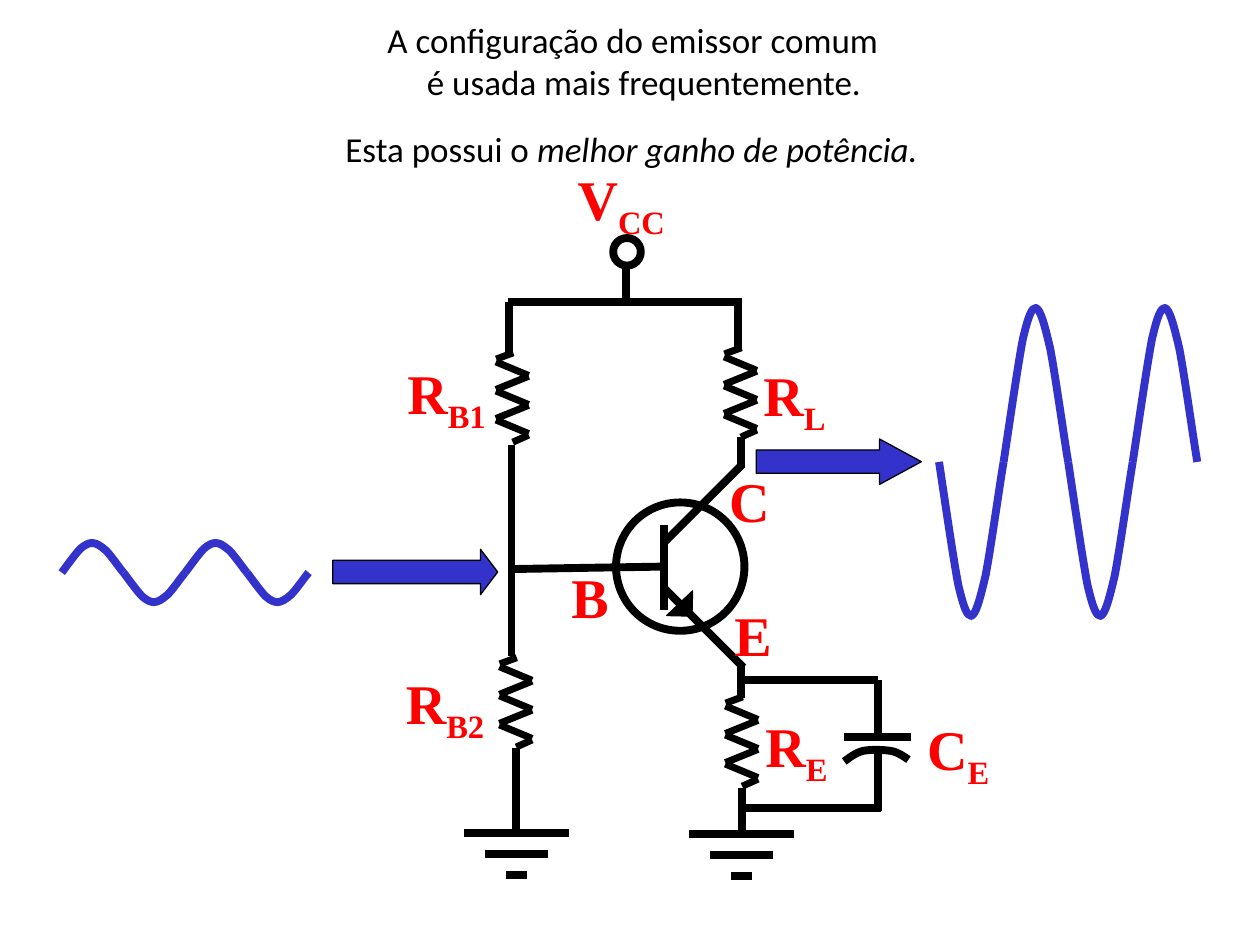
import pptx
import pptx.util
import pptx.dml.color
import pptx.enum.shapes
import pptx.enum.text
import lxml.etree

Pt = pptx.util.Pt
SHAPES = pptx.enum.shapes.MSO_SHAPE
BLACK = pptx.dml.color.RGBColor(0x00, 0x00, 0x00)
RED = pptx.dml.color.RGBColor(0xFF, 0x00, 0x00)
BLUE = pptx.dml.color.RGBColor(0x33, 0x33, 0xCC)
DRAWING = "{http://schemas.openxmlformats.org/drawingml/2006/main}"
WIRE = 4.5
THIN = 0.75

HALF_WAVE = [(0, 0), (0.06, 0.16), (0.22, 0.63), (0.3, 0.8), (0.39, 0.96),
             (0.44, 1), (0.5, 1), (0.57, 0.99), (0.63, 0.9), (0.72, 0.74),
             (0.8, 0.57), (0.95, 0.12), (1, 0)]
CURVED_PLATE = [(0, 6.9), (2.2, 5.4), (6.5, 1.8), (10.8, 0.9), (15.1, 0),
                (22.3, 0.2), (26.6, 0.9), (31, 1.6), (34.6, 4.5), (36.7, 5.9)]


def wire(parent, box, start, end, width=WIRE):
    left, top = box[:2]
    line = parent.shapes.add_connector(
        pptx.enum.shapes.MSO_CONNECTOR.STRAIGHT,
        Pt(left + start[0]), Pt(top + start[1]), Pt(left + end[0]), Pt(top + end[1]))
    line.line.color.rgb = BLACK
    line.line.width = Pt(width)
    lxml.etree.SubElement(line._element.spPr, DRAWING + "effectLst")


def paint(shape, fill, color, width):
    shape.shadow.inherit = False
    if fill is None:
        shape.fill.background()
    else:
        shape.fill.solid()
        shape.fill.fore_color.rgb = fill
    shape.line.color.rgb = color
    shape.line.width = Pt(width)


def preset(parent, kind, box, fill=None, width=WIRE):
    shape = parent.shapes.add_shape(kind, *(Pt(value) for value in box))
    paint(shape, fill, BLACK, width)
    return shape


def curve(parent, controls, color):
    points = [(Pt(x), Pt(y)) for x, y in controls]
    builder = parent.shapes.build_freeform(*points[0])
    builder.add_line_segments(points[1:], close=False)
    shape = builder.convert_to_shape()
    segments = list(shape._element.iter(DRAWING + "lnTo"))
    outline = segments[0].getparent()
    for first in range(0, len(segments), 3):
        bezier = lxml.etree.SubElement(outline, DRAWING + "cubicBezTo")
        for segment in segments[first:first + 3]:
            bezier.append(segment[0])
            outline.remove(segment)
    paint(shape, None, color, WIRE)


def write(para, text, size=20, font="Calibri", color=BLACK, bold=None, italic=None, subscript=False):
    span = para.add_run()
    span.text = text
    span.font.size = Pt(size)
    span.font.name = font
    span.font.color.rgb = color
    span.font.bold = bold
    span.font.italic = italic
    if subscript:
        span.font._element.set("baseline", "-25000")


def text_frame(page, box):
    frame = page.shapes.add_textbox(*(Pt(value) for value in box)).text_frame
    frame.word_wrap = False
    frame.auto_size = pptx.enum.text.MSO_AUTO_SIZE.SHAPE_TO_FIT_TEXT
    return frame


def label(page, box, letter, index=""):
    para = text_frame(page, box).paragraphs[0]
    style = dict(size=32, font="Times New Roman", color=RED, bold=True)
    write(para, letter, **style)
    if index:
        write(para, index, subscript=True, **style)


def heading(page, box):
    left, top, width, height = box
    frame = text_frame(page, (left + 24, top, width - 41.8, 55.4))
    write(frame.paragraphs[0], "A configuração do emissor comum")
    para = frame.add_paragraph()
    para._p.get_or_add_pPr().set("marL", str(Pt(22.6)))
    write(para, "é usada mais frequentemente.")
    para = text_frame(page, (left, top + 61.9, width, height - 61.9)).paragraphs[0]
    write(para, "Esta possui o ")
    write(para, "melhor ganho de potência.", italic=True)


def resistor(page, box):
    group = page.shapes.add_group_shape()
    pitch = 16.6
    strokes = [((19.2, 13 + pitch * k), (0.5, 5.2 + pitch * k)) for k in range(3)]
    strokes += [((0.5, 21 + pitch * k), (19.2, 13.4 + pitch * k)) for k in (1, 0)]
    strokes += [((0.7, 3.6), (10.4, 0)), ((10.1, 51.1), (19.2, 47))]
    for start, end in strokes:
        wire(group, box, start, end, 4)


def ground(page, box):
    group = page.shapes.add_group_shape()
    for inset in (0, 12, 24):
        wire(group, box, (inset, inset), (60 - inset, inset))


def supply(page, box):
    left, top = box
    preset(page, SHAPES.OVAL, (left + 60.4, top, 15.8, 15.8))
    for start, end in [((67.8, 17.4), (67.8, 38.2)), ((0.2, 36.8), (134.1, 36.8)),
                       ((0.9, 36.8), (0.9, 66.3)), ((131.9, 62.7), (131.9, 39))]:
        wire(page, box, start, end)
    label(page, (left + 33, top - 45.3, 68.4, 41.8), "V", "CC")


def bias_branch(page, box):
    left, top = box
    resistor(page, (left + 18, top))
    wire(page, box, (27.4, 52.6), (27.4, 173.5))
    resistor(page, (left + 20, top + 174.2))
    wire(page, box, (30, 226.1), (30, 273.6))
    ground(page, (left, top + 274.3))
    label(page, (left - 39.2, top - 0.3, 62.6, 41.8), "R", "B1")
    label(page, (left - 40, top + 177.1, 62.6, 41.8), "R", "B2")


def transistor(page, box):
    left, top = box
    preset(page, SHAPES.OVAL, (left + 62, top + 37.3, 73.4, 73.4))
    emitter = page.shapes.add_group_shape()
    wire(emitter, box, (90.2, 87), (134.8, 131.6))
    arrowhead = preset(emitter, SHAPES.RIGHT_TRIANGLE,
                       (left + 91.2, top + 87.7, 14.4, 14.4), BLACK, THIN)
    arrowhead.rotation = 271.3
    for start, end in [((88.7, 74), (0.9, 75.4)), ((89.4, 60.3), (134.1, 15.7)),
                       ((89.4, 50.2), (89.4, 98.5)), ((133.4, 0), (133.4, 17.8)),
                       ((133.4, 130.9), (133.4, 148.9))]:
        wire(page, box, start, end)
    label(page, (left + 122.6, top + 89.8, 36, 41.8), "E")
    label(page, (left + 29.4, top + 68.2, 36, 41.8), "B")
    label(page, (left + 119.5, top + 13.3, 37.4, 41.8), "C")


def load(page, box):
    left, top = box
    resistor(page, box)
    label(page, (left + 15.8, top + 4, 51.8, 41.8), "R", "L")


def capacitor(page, box):
    left, top = box
    group = page.shapes.add_group_shape()
    wire(group, box, (0, 0), (38.2, 0))
    curve(group, [(left + x, top + 7.2 + y) for x, y in CURVED_PLATE], BLACK)


def emitter_branch(page, box):
    left, top = box
    resistor(page, (left + 20.2, top + 9.4))
    wire(page, box, (30.2, 61.2), (30.2, 87.8))
    ground(page, (left, top + 87.8))
    capacitor(page, (left + 88.6, top + 32.2))
    for start, end in [((30.3, 0), (108, 0)), ((31.7, 72.7), (109.5, 72.7)),
                       ((108, 74.9), (108, 41)), ((108, 31), (108, 0))]:
        wire(page, box, start, end)
    label(page, (left + 36.5, top + 14.4, 51.8, 41.8), "R", "E")
    label(page, (left + 128.9, top + 15.8, 51.8, 41.8), "C", "E")


def signal_arrow(page, box, head):
    arrow = preset(page, SHAPES.RIGHT_ARROW, box, BLUE, THIN)
    arrow.adjustments[0] = 0.515
    arrow.adjustments[1] = head


def wave(page, box, direction):
    left, top, width, height = box
    group = page.shapes.add_group_shape()
    half = width / 4
    for index in range(4):
        swing = direction * (-1) ** index * height / 2
        curve(group, [(left + half * (index + x), top + height / 2 - swing * y)
                      for x, y in HALF_WAVE], BLUE)


def main():
    deck = pptx.Presentation()
    deck.slide_width = Pt(720)
    deck.slide_height = Pt(540)
    page = deck.slides.add_slide(deck.slide_layouts[6])
    transistor(page, (290, 249.8))
    supply(page, (290, 136))
    bias_branch(page, (264.9, 201.6))
    load(page, (413.3, 198.7))
    emitter_branch(page, (393.8, 388.8))
    heading(page, (190.3, 7.2, 344.2, 93.6))
    signal_arrow(page, (190.1, 313.9, 94.3, 25.9), 0.379)
    signal_arrow(page, (432.2, 250.9, 94.3, 25.9), 0.922)
    wave(page, (35.3, 310.3, 141.1, 33.8), 1)
    wave(page, (536.6, 176, 147.6, 176), -1)
    deck.save("out.pptx")


if __name__ == "__main__":
    main()
